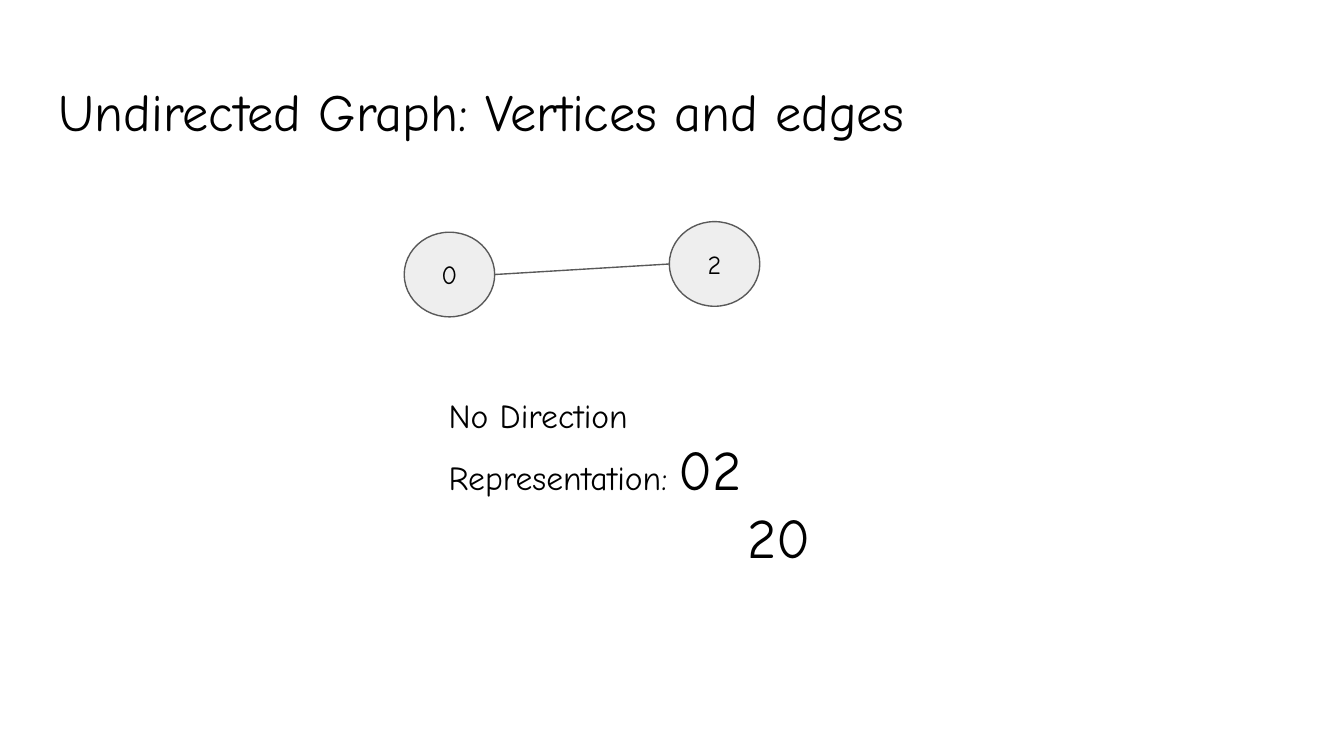
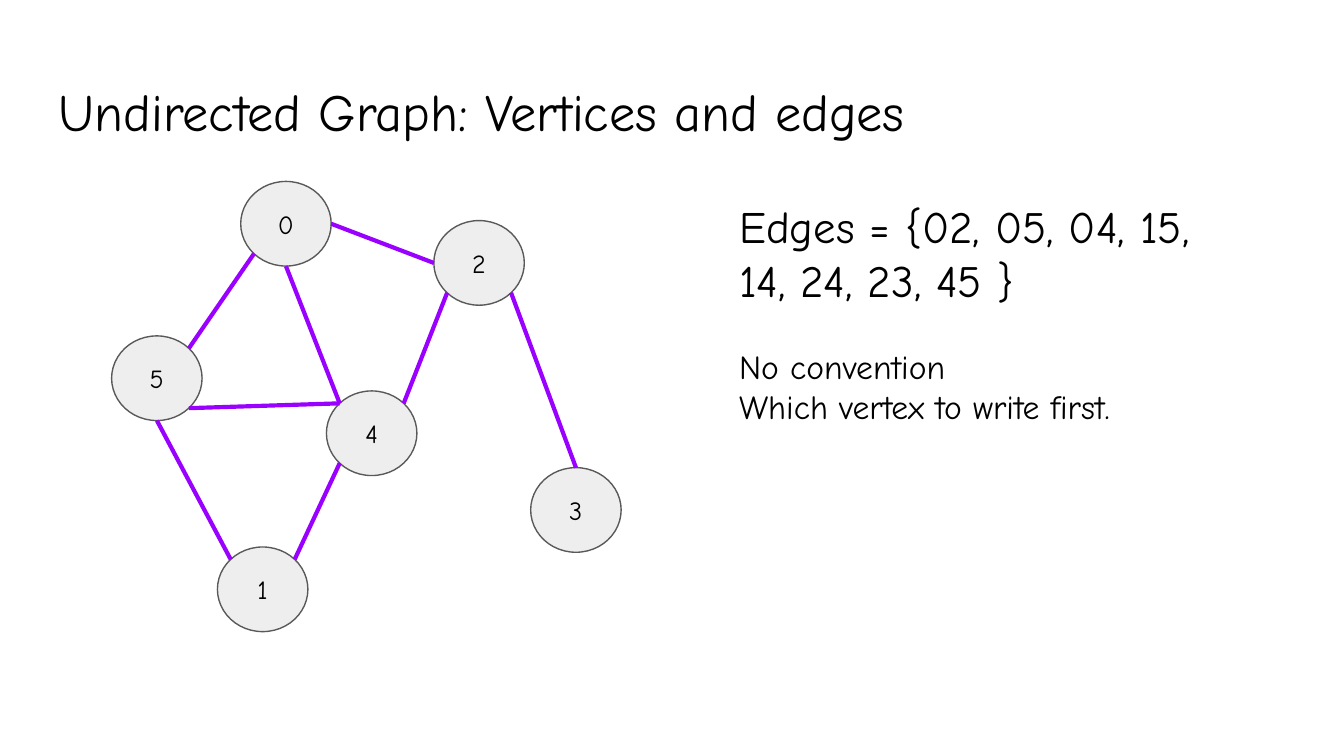
from math import cos, radians, sin

from lxml.etree import SubElement
from pptx import Presentation
from pptx.dml.color import RGBColor
from pptx.enum.shapes import MSO_CONNECTOR as Connector, MSO_SHAPE as Shape
from pptx.enum.text import MSO_ANCHOR as Anchor, PP_ALIGN as Align
from pptx.oxml.ns import qn
from pptx.util import Cm, Pt

# Shared look
BLACK = RGBColor(0x00, 0x00, 0x00)
WHITE = RGBColor(0xFF, 0xFF, 0xFF)
VERTEX_FILL = RGBColor(0xEE, 0xEE, 0xEE)
GRAY = RGBColor(0x59, 0x59, 0x59)
PURPLE = RGBColor(0x99, 0x00, 0xFF)
FONT = "Comic Neue"
TITLE = "Undirected Graph: Vertices and edges"
INSET = Cm(0.25)

# Vertex size in cm, and the angle of each attachment point (clockwise)
VERTEX_WIDTH, VERTEX_HEIGHT = 1.71, 1.6
ANGLES = {"right": 0, "bottom right": 45, "bottom": 90, "bottom left": 135,
          "left": 180, "top left": 225, "top": 270, "top right": 315}

# Graphs: top left corner of each vertex in cm; edges by vertex and side
PAIR_VERTICES = {"0": (7.64, 4.39), "2": (12.65, 4.19)}
PAIR_EDGES = [("0", "right", "2", "left")]
GRAPH_VERTICES = {"0": (4.55, 3.43), "2": (8.2, 4.17), "4": (6.17, 7.39),
                  "3": (10.03, 8.84), "1": (4.11, 10.34), "5": (2.11, 6.35)}
GRAPH_EDGES = [
    ("5", "top right", "0", "bottom left"),
    ("0", "right", "2", "left"),
    ("0", "bottom", "4", "top left"),
    ("5", "bottom right", "4", "top left"),
    ("5", "bottom", "1", "top left"),
    ("1", "top right", "4", "bottom left"),
    ("4", "top right", "2", "bottom left"),
    ("2", "bottom right", "3", "top"),
]


def add_run(paragraph, text, size=18, color=BLACK):
    run = paragraph.add_run()
    run.text = text
    run.font.name = FONT
    run.font.size = Pt(size)
    run.font.color.rgb = color


def write(shape, text, size=18, align=Align.LEFT, anchor=Anchor.TOP,
          before=0, indent=0):
    """Append a paragraph; text is a string or a list of (text, size) runs."""
    frame = shape.text_frame
    frame.word_wrap = True
    frame.vertical_anchor = anchor
    frame.margin_left = frame.margin_right = INSET
    frame.margin_top = frame.margin_bottom = INSET
    paragraph = frame.paragraphs[0]
    if paragraph.runs:
        paragraph = frame.add_paragraph()
    paragraph.alignment = align
    paragraph.space_before = Pt(before)
    if indent:
        properties = paragraph._p.get_or_add_pPr()
        properties.set("marL", str(Cm(indent)))
        properties.set("indent", "0")
    runs = [(text, size)] if isinstance(text, str) else text
    for run_text, run_size in runs:
        add_run(paragraph, run_text, run_size)


def add_text_box(slide, left, top, width, height):
    return slide.shapes.add_textbox(Cm(left), Cm(top), Cm(width), Cm(height))


def add_vertex(slide, label, left, top):
    vertex = slide.shapes.add_shape(
        Shape.FLOWCHART_CONNECTOR, Cm(left), Cm(top),
        Cm(VERTEX_WIDTH), Cm(VERTEX_HEIGHT))
    vertex.shadow.inherit = False
    vertex.fill.solid()
    vertex.fill.fore_color.rgb = VERTEX_FILL
    vertex.line.color.rgb = GRAY
    vertex.line.width = Pt(0.75)
    write(vertex, label, size=14, align=Align.CENTER, anchor=Anchor.MIDDLE)


def attachment(corner, side):
    """Point on the rim of a vertex."""
    angle = radians(ANGLES[side])
    left, top = corner
    return (Cm(left + VERTEX_WIDTH / 2 * (1 + cos(angle))),
            Cm(top + VERTEX_HEIGHT / 2 * (1 + sin(angle))))


def add_edge(slide, start, end, color, width):
    edge = slide.shapes.add_connector(Connector.STRAIGHT, *start, *end)
    edge.line.color.rgb = color
    edge.line.width = Pt(width)
    SubElement(edge._element.spPr, qn("a:effectLst"))


def add_graph(slide, vertices, edges, color, width):
    for label, corner in vertices.items():
        add_vertex(slide, label, *corner)
    for first, first_side, second, second_side in edges:
        add_edge(slide, attachment(vertices[first], first_side),
                 attachment(vertices[second], second_side), color, width)


def add_slide(presentation):
    """White slide with the shared title."""
    slide = presentation.slides.add_slide(presentation.slide_layouts[6])
    slide.background.fill.solid()
    slide.background.fill.fore_color.rgb = WHITE
    write(add_text_box(slide, 0.86, 1.24, 23.67, 1.6), TITLE, size=28)
    return slide


def build_single_edge(presentation):
    slide = add_slide(presentation)
    notes = add_text_box(slide, 8.23, 7.21, 8.46, 4.14)
    write(notes, "No Direction")
    write(notes, [("Representation: ", 18), ("02", 30)])
    write(notes, "20", size=30, indent=5.65)
    add_graph(slide, PAIR_VERTICES, PAIR_EDGES, GRAY, 0.75)


def build_edge_set(presentation):
    slide = add_slide(presentation)
    notes = add_text_box(slide, 13.72, 3.51, 10.03, 5.05)
    write(notes, "Edges = {02, 05, 04, 15, 14, 24, 23, 45 }", size=24)
    write(notes, "No convention", before=21)
    write(notes, "Which vertex to write first.")
    add_graph(slide, GRAPH_VERTICES, GRAPH_EDGES, PURPLE, 2.25)


def main():
    presentation = Presentation()
    presentation.slide_width = Cm(25.4)
    presentation.slide_height = Cm(14.29)
    build_single_edge(presentation)
    build_edge_set(presentation)
    presentation.save("out.pptx")


main()
